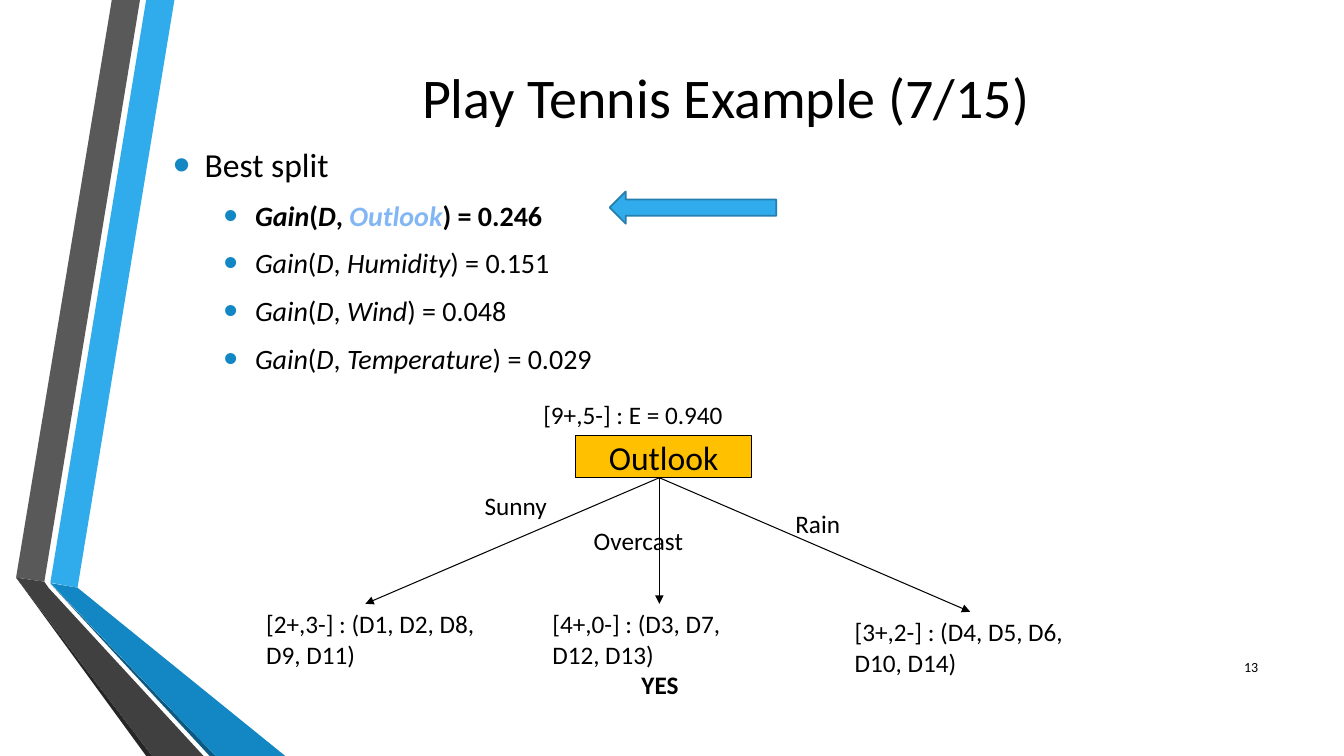
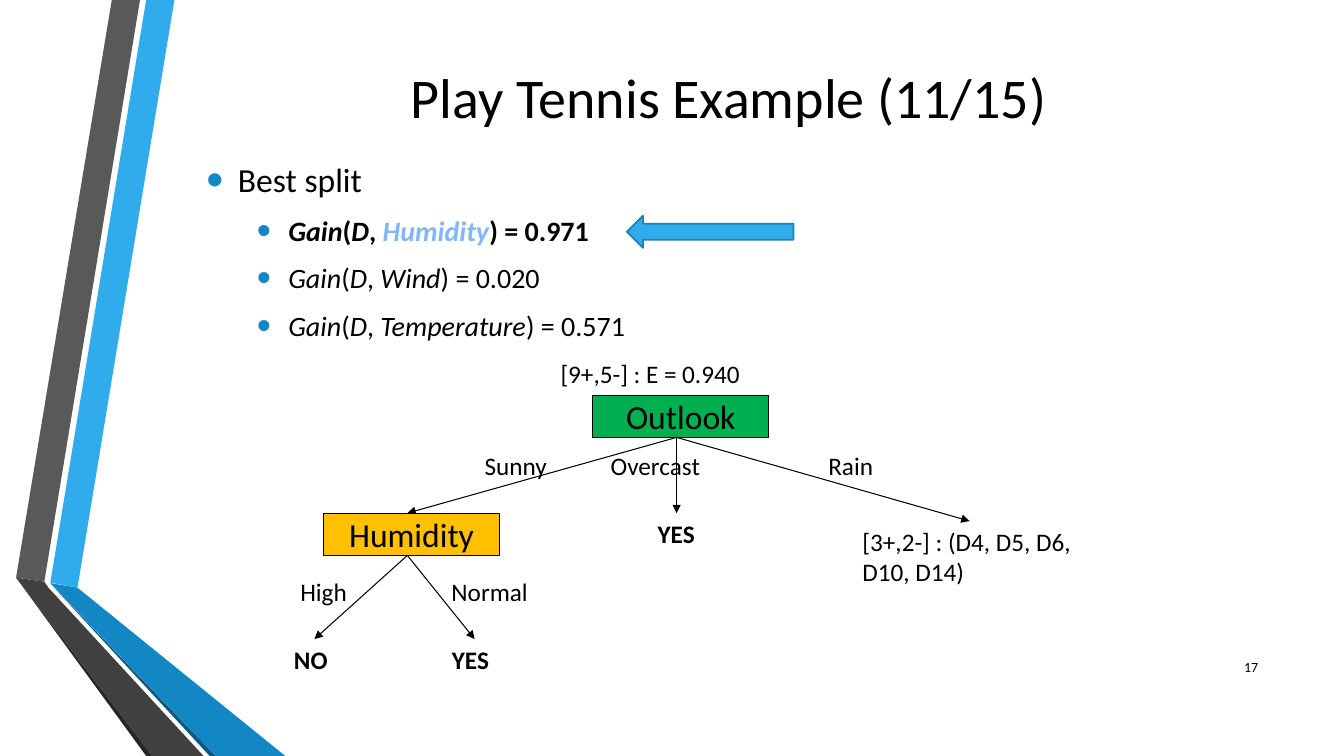
from dataclasses import dataclass

import pptx
import pptx.dml.color
import pptx.enum.shapes
import pptx.enum.text
import pptx.oxml.ns
import pptx.util
from lxml import etree

Pt = pptx.util.Pt
qn = pptx.oxml.ns.qn
SHAPE = pptx.enum.shapes.MSO_SHAPE
ALIGN = pptx.enum.text.PP_ALIGN
ANCHOR = pptx.enum.text.MSO_ANCHOR

FONT = "Calibri"
BLACK, AMBER, GREEN = "000000", "FFC000", "00B050"
SKY, SKY_EDGE, BLUE, HIGHLIGHT = "30ACEC", "247FAF", "1287C3", "82B6F4"
NODE_W, NODE_H, STEM = 126, 30.25, 60  # branches leave a node STEM from its left

BANDS = [
    (SKY, [(36, 416.2), (55.4, 419.8), (124.6, 0), (104.4, 0)]),
    ("595959", [(100, 0), (79.9, 0), (11.5, 412.6), (31.7, 415.5)]),
    ("262626", [(11.5, 412.6), (104.4, 540), (108.7, 540)]),
    ("0C5A82", [(36, 416.9), (149.8, 540), (154.1, 540)]),
    (BLUE, [(36, 416.5), (154.1, 540), (203.8, 540), (55.4, 419.8)]),
    ("404040", [(145.4, 540), (34.6, 419.8), (31.7, 415.5), (11.5, 412.6), (108.7, 540)]),
]


@dataclass
class Leaf:
    left: float
    width: float
    members: str = ""
    answer: str = ""


@dataclass
class Branch:
    label: str
    label_at: tuple
    tip: tuple
    end: object  # a Leaf or a Node


@dataclass
class Node:
    name: str
    fill: str
    branches: list


RAIN_DAYS = "[3+,2-] : (D4, D5, D6, D10, D14)"

SLIDES = [
    dict(
        title="Play Tennis Example (7/15)", title_left=123.8, number="13",
        gains=[("Outlook", "0.246"), ("Humidity", "0.151"),
               ("Wind", "0.048"), ("Temperature", "0.029")],
        gains_at=(116.6, 99.3), arrow_top=136.8, root_at=(411, 311),
        tree=Node("Outlook", AMBER, [
            Branch("Sunny", (339, 347), (261, 431.3),
                   Leaf(183, 174, "[2+,3-] : (D1, D2, D8, D9, D11)")),
            Branch("Rain", (561, 359.3), (693, 437), Leaf(603.4, 174, RAIN_DAYS)),
            Branch("Overcast", (417, 371.5), (471, 431.3),
                   Leaf(387.4, 168, "[4+,0-] : (D3, D7, D12, D13)", "YES")),
        ]),
    ),
    dict(
        title="Play Tennis Example (11/15)", title_left=126, number="17",
        gains=[("Humidity", "0.971"), ("Wind", "0.020"), ("Temperature", "0.571")],
        gains_at=(140.4, 110), arrow_top=154.1, root_at=(423.3, 282.2),
        tree=Node("Outlook", GREEN, [
            Branch("Sunny", (339, 318.2), (291, 366.5), Node("Humidity", AMBER, [
                Branch("High", (207.4, 408.2), (224.6, 456.5), Leaf(195, 54, answer="NO")),
                Branch("Normal", (315.4, 408.2), (339, 456.5), Leaf(309, 54, answer="YES")),
            ])),
            Branch("Rain", (584.6, 318.2), (692.6, 372.2), Leaf(609, 174, RAIN_DAYS)),
            Branch("Overcast", (429.1, 318.2), (483.3, 366.5), Leaf(399, 168, answer="YES")),
        ]),
    ),
]


def rgb(color):
    return pptx.dml.color.RGBColor.from_string(color)


def add_run(p, text, size, color=BLACK, bold=False, italic=False):
    r = p.add_run()
    r.text = text
    font = r.font
    font.name, font.size, font.bold, font.italic = FONT, Pt(size), bold, italic
    font.color.rgb = rgb(color)


def paint(sp, fill, line=None, width=0.75):
    sp.shadow.inherit = False
    sp.fill.solid()
    sp.fill.fore_color.rgb = rgb(fill)
    if line:
        sp.line.color.rgb = rgb(line)
        sp.line.width = Pt(width)
    else:
        sp.line.fill.background()


def add_text(s, box, paragraphs, anchor=ANCHOR.TOP):
    """Add a wrapping text box; paragraphs are (text, size, bold, alignment)."""
    tf = s.shapes.add_textbox(*map(Pt, box)).text_frame
    tf.word_wrap = True
    tf.vertical_anchor = anchor
    for i, (text, size, bold, align) in enumerate(paragraphs):
        p = tf.add_paragraph() if i else tf.paragraphs[0]
        p.alignment = align
        add_run(p, text, size, bold=bold)
    return tf


def add_bands(s):
    for color, points in BANDS:
        start, *rest = [(Pt(x), Pt(y)) for x, y in points]
        builder = s.shapes.build_freeform(*start)
        builder.add_line_segments(rest, close=True)
        paint(builder.convert_to_shape(), color)


def add_bullet(p, indent):
    pPr = p._p.get_or_add_pPr()
    pPr.set("marL", str(Pt(indent)))
    pPr.set("indent", str(-Pt(22.5)))
    color = etree.SubElement(pPr, qn("a:buClr"))
    etree.SubElement(color, qn("a:srgbClr"), val=BLUE)
    etree.SubElement(pPr, qn("a:buSzPct"), val="145000")
    etree.SubElement(pPr, qn("a:buFont"), typeface="Arial")
    etree.SubElement(pPr, qn("a:buChar"), char="•")


def add_gains(s, at, gains):
    """List the gains; the first one is the best split and stands out."""
    tf = add_text(s, (*at, 789, 190), [("Best split", 24, False, ALIGN.LEFT)])
    tf.paragraphs[0].space_after = Pt(6)
    add_bullet(tf.paragraphs[0], 22.5)
    for i, (attribute, value) in enumerate(gains):
        best = i == 0
        p = tf.add_paragraph()
        p.level = 1
        p.space_before, p.space_after = Pt(4), Pt(6)
        add_bullet(p, 58.5)
        for text, italic in [("Gain", True), ("(", False), ("D", True), (", ", False),
                             (attribute, True), (f") = {value}", False)]:
            color = HIGHLIGHT if best and text == attribute else BLACK
            add_run(p, text, 20, color, best, italic)


def add_arrow(s, start, tip):
    line = s.shapes.add_connector(
        pptx.enum.shapes.MSO_CONNECTOR.STRAIGHT, *map(Pt, (*start, *tip)))
    line.line.color.rgb = rgb(BLACK)
    line.line.width = Pt(0.75)
    etree.SubElement(line.line._get_or_add_ln(), qn("a:tailEnd"), type="triangle")
    etree.SubElement(line._element.spPr, qn("a:effectLst"))


def add_leaf(s, leaf, top):
    lines = [(leaf.members, 18, False, ALIGN.LEFT), (leaf.answer, 18, True, ALIGN.CENTER)]
    lines = [line for line in lines if line[0]]
    add_text(s, (leaf.left, top, leaf.width, 29), lines)


def add_node(s, node, left, top):
    """Draw a node and, below it, everything its branches lead to."""
    sp = s.shapes.add_shape(SHAPE.RECTANGLE, *map(Pt, (left, top, NODE_W, NODE_H)))
    paint(sp, node.fill, BLACK)
    tf = sp.text_frame
    tf.word_wrap = False
    tf.vertical_anchor = ANCHOR.MIDDLE
    tf.paragraphs[0].alignment = ALIGN.CENTER
    add_run(tf.paragraphs[0], node.name, 24)
    for branch in node.branches:
        x, y = branch.tip
        add_arrow(s, (left + STEM, top + NODE_H), branch.tip)
        add_text(s, (*branch.label_at, 84, 29), [(branch.label, 18, False, ALIGN.LEFT)])
        if isinstance(branch.end, Node):
            add_node(s, branch.end, x - STEM, y)
        else:
            add_leaf(s, branch.end, y)


def add_slide(prs, data):
    s = prs.slides.add_slide(prs.slide_layouts[6])
    left, top = data["root_at"]
    add_bands(s)
    add_text(s, (data["title_left"], 0, 789, 138),
             [(data["title"], 40, False, ALIGN.CENTER)], ANCHOR.MIDDLE)
    add_gains(s, data["gains_at"], data["gains"])
    add_text(s, (left - 30, top - 29.5, 174, 29),
             [("[9+,5-] : E = 0.940", 18, False, ALIGN.LEFT)])
    add_node(s, data["tree"], left, top)
    pointer = s.shapes.add_shape(
        SHAPE.LEFT_ARROW, *map(Pt, (left + 24.5, data["arrow_top"], 119, 23)))
    paint(pointer, SKY, SKY_EDGE, 1.25)
    add_text(s, (862.6, 462.2, 43.2, 28.8),
             [(data["number"], 10, False, ALIGN.RIGHT)], ANCHOR.MIDDLE)


def main():
    prs = pptx.Presentation()
    prs.slide_width, prs.slide_height = Pt(960), Pt(540)
    for data in SLIDES:
        add_slide(prs, data)
    prs.save("out.pptx")


if __name__ == "__main__":
    main()
